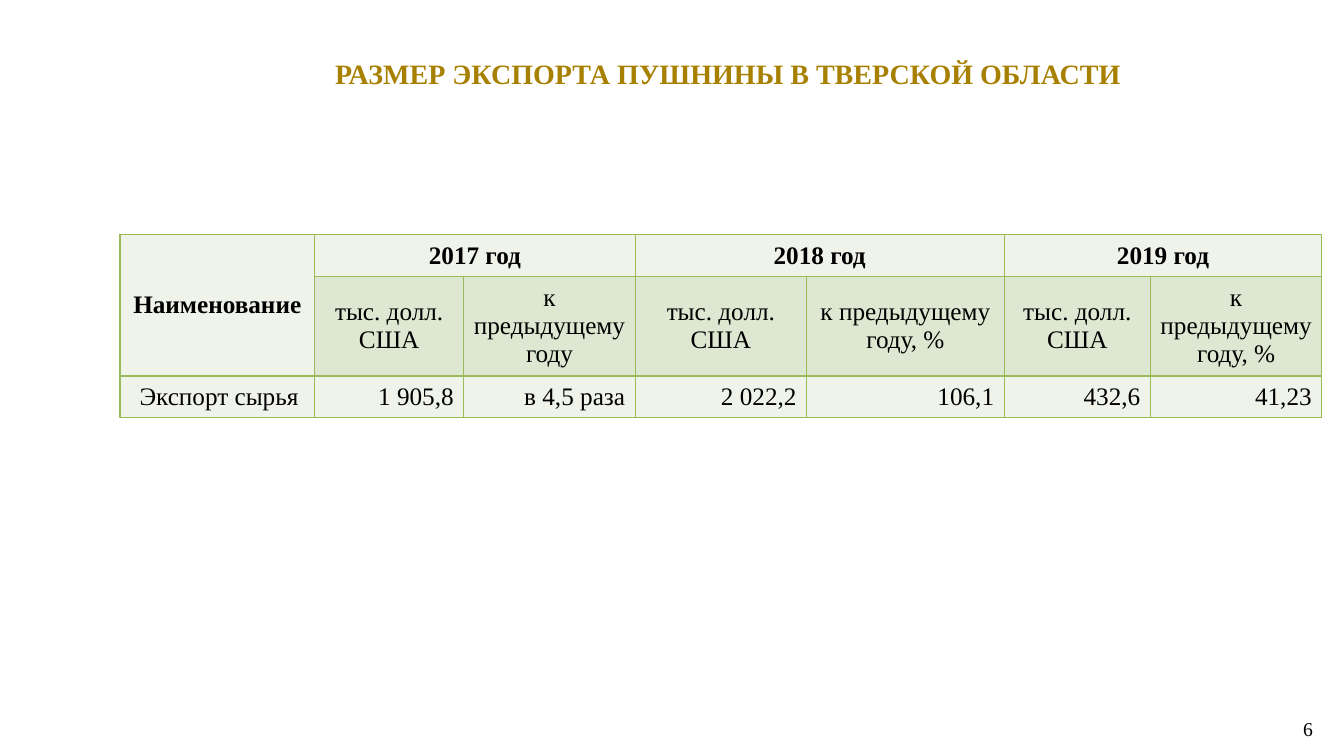
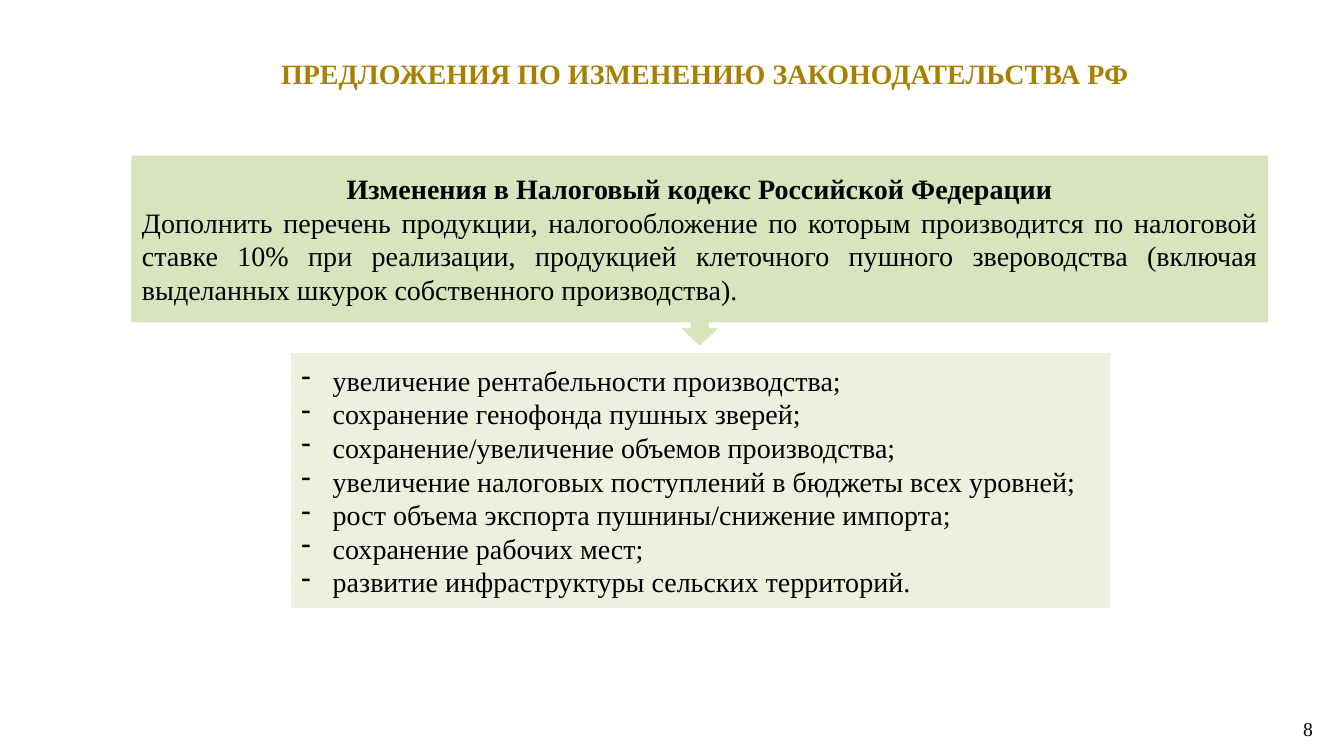
from pptx import Presentation
from pptx.dml.color import RGBColor
from pptx.enum.shapes import MSO_SHAPE
from pptx.enum.text import MSO_ANCHOR, MSO_AUTO_SIZE, PP_ALIGN
from pptx.oxml.ns import qn
from pptx.util import Inches, Pt
from lxml.etree import SubElement

FONT = "Times New Roman"
GOLD = RGBColor(0xA8, 0x80, 0x00)
BLACK = RGBColor(0x00, 0x00, 0x00)
GREEN_BORDER = RGBColor(0x9B, 0xBB, 0x59)
GREEN_CALLOUT = RGBColor(0xD7, 0xE4, 0xBD)
GREEN_LIST = RGBColor(0xEB, 0xF1, 0xDE)
BAND_LIGHT = RGBColor(0xEF, 0xF3, 0xEA)
BAND_DARK = RGBColor(0xDE, 0xE7, 0xD1)

TITLE_ONLY_LAYOUT = 5
CONTENT_LAYOUT = 1
COLUMN_WIDTHS = [1.93, 1.48, 1.7, 1.7, 1.96, 1.45, 1.7]
ROW_HEIGHTS = [0.41, 0.99, 0.41]
YEARS = ["2017 год", "2018 год", "2019 год"]
AMOUNT = "тыс. долл. США"
CHANGE = "к предыдущему году, %"
SUBHEADINGS = [AMOUNT, "к предыдущему году", AMOUNT, CHANGE, AMOUNT, CHANGE]
EXPORT_ROW = ["Экспорт сырья", "1 905,8", "в 4,5 раза", "2 022,2", "106,1", "432,6", "41,23"]
PROPOSAL_HEADING = "Изменения в Налоговый кодекс Российской Федерации"
PROPOSAL = (
    "Дополнить перечень продукции, налогообложение по которым производится "
    "по налоговой ставке 10% при реализации, продукцией клеточного пушного "
    "звероводства (включая выделанных шкурок собственного производства)."
)
BENEFITS = [
    "увеличение рентабельности производства;",
    "сохранение генофонда пушных зверей;",
    "сохранение/увеличение объемов производства;",
    "увеличение налоговых поступлений в бюджеты всех уровней;",
    "рост объема экспорта пушнины/снижение импорта;",
    "сохранение рабочих мест;",
    "развитие инфраструктуры сельских территорий.",
]


def write(frame, text, size=20, color=BLACK, bold=False, align=PP_ALIGN.LEFT, add=False):
    paragraph = frame.add_paragraph() if add else frame.paragraphs[0]
    paragraph.alignment = align
    paragraph.line_spacing = 1.0
    paragraph.space_before = paragraph.space_after = Pt(0)
    run = paragraph.add_run()
    run.text = text
    run.font.name = FONT
    run.font.size = Pt(size)
    run.font.bold = bold
    run.font.color.rgb = color
    return paragraph


def place(shape, left, top, width, height):
    shape.left, shape.top = Inches(left), Inches(top)
    shape.width, shape.height = Inches(width), Inches(height)


def prepare_frame(shape, anchor=MSO_ANCHOR.MIDDLE):
    frame = shape.text_frame
    frame.word_wrap = True
    frame.auto_size = MSO_AUTO_SIZE.NONE
    frame.vertical_anchor = anchor
    return frame


def paint(shape, color):
    shape.fill.solid()
    shape.fill.fore_color.rgb = color
    shape.line.color.rgb = color
    shape.line.width = Pt(1)


def add_dash(paragraph):
    properties = paragraph._p.get_or_add_pPr()
    properties.set("marL", str(Inches(0.31)))
    properties.set("indent", str(-Inches(0.31)))
    SubElement(properties, qn("a:buFontTx"))
    SubElement(properties, qn("a:buChar")).set("char", "-")


def add_borders(cell):
    properties = cell._tc.get_or_add_tcPr()
    for side in ("a:lnL", "a:lnR", "a:lnT", "a:lnB"):
        line = SubElement(properties, qn(side))
        line.set("w", str(Pt(1)))
        fill = SubElement(line, qn("a:solidFill"))
        SubElement(fill, qn("a:srgbClr")).set("val", str(GREEN_BORDER))


def add_titled_slide(presentation, layout, title, number, title_left):
    slide = presentation.slides.add_slide(presentation.slide_layouts[layout])
    place(slide.shapes.title, title_left, 0.17, 11.5, 1.12)
    write(prepare_frame(slide.shapes.title), title, color=GOLD, bold=True,
          align=PP_ALIGN.CENTER)
    number_box = slide.shapes.add_textbox(Inches(10.64), Inches(7.06), Inches(2.48), Inches(0.34))
    write(prepare_frame(number_box, MSO_ANCHOR.TOP), number, size=14, align=PP_ALIGN.RIGHT)
    return slide


def add_export_table(slide, left, top):
    graphic_frame = slide.shapes.add_table(
        len(ROW_HEIGHTS), len(COLUMN_WIDTHS), Inches(left), Inches(top),
        Inches(sum(COLUMN_WIDTHS)), Inches(sum(ROW_HEIGHTS)))
    table = graphic_frame.table
    for column, width in zip(table.columns, COLUMN_WIDTHS):
        column.width = Inches(width)
    for row, height in zip(table.rows, ROW_HEIGHTS):
        row.height = Inches(height)

    year_row = ["Наименование"]
    for year in YEARS:
        year_row += [year, ""]
    texts = [year_row, [""] + SUBHEADINGS, EXPORT_ROW]
    for row_index, row_texts in enumerate(texts):
        for column_index, text in enumerate(row_texts):
            cell = table.cell(row_index, column_index)
            add_borders(cell)
            cell.fill.solid()
            cell.fill.fore_color.rgb = BAND_DARK if row_index == 1 else BAND_LIGHT
            cell.vertical_anchor = MSO_ANCHOR.MIDDLE
            if row_index == 1:
                cell.margin_left = cell.margin_right = Inches(0.06)
            if text:
                write(cell.text_frame, text, size=18, bold=row_index == 0,
                      align=PP_ALIGN.RIGHT if row_index == 2 else PP_ALIGN.CENTER)

    table.cell(2, 0).margin_right = Inches(0.16)
    table.cell(0, 0).merge(table.cell(1, 0))
    for column_index in range(1, len(COLUMN_WIDTHS), 2):
        table.cell(0, column_index).merge(table.cell(0, column_index + 1))


def add_proposal_callout(slide, left, top, width, height):
    callout = slide.shapes.add_shape(
        MSO_SHAPE.DOWN_ARROW_CALLOUT, Inches(left), Inches(top), Inches(width), Inches(height))
    callout.shadow.inherit = False
    for index, value in enumerate((0.088, 0.091, 0.086, 0.878)):
        callout.adjustments[index] = value
    paint(callout, GREEN_CALLOUT)
    frame = prepare_frame(callout)
    write(frame, PROPOSAL_HEADING, bold=True, align=PP_ALIGN.CENTER)
    write(frame, PROPOSAL, align=PP_ALIGN.JUSTIFY, add=True)


def add_benefit_list(slide, left, top, width, height):
    body = slide.placeholders[1]
    place(body, left, top, width, height)
    paint(body, GREEN_LIST)
    frame = prepare_frame(body)
    for index, benefit in enumerate(BENEFITS):
        add_dash(write(frame, benefit, add=index > 0))


def build_export_slide(presentation):
    slide = add_titled_slide(presentation, TITLE_ONLY_LAYOUT,
                             "РАЗМЕР ЭКСПОРТА ПУШНИНЫ В ТВЕРСКОЙ ОБЛАСТИ", "6", 1.47)
    add_export_table(slide, 1.19, 2.33)


def build_proposal_slide(presentation):
    slide = add_titled_slide(presentation, CONTENT_LAYOUT,
                             "ПРЕДЛОЖЕНИЯ ПО ИЗМЕНЕНИЮ ЗАКОНОДАТЕЛЬСТВА РФ", "8", 1.24)
    add_proposal_callout(slide, 1.31, 1.55, 11.26, 1.87)
    add_benefit_list(slide, 2.89, 3.51, 8.11, 2.52)


def main():
    presentation = Presentation()
    presentation.slide_width = Inches(13.33)
    presentation.slide_height = Inches(7.5)
    build_export_slide(presentation)
    build_proposal_slide(presentation)
    presentation.save("out.pptx")


if __name__ == "__main__":
    main()
